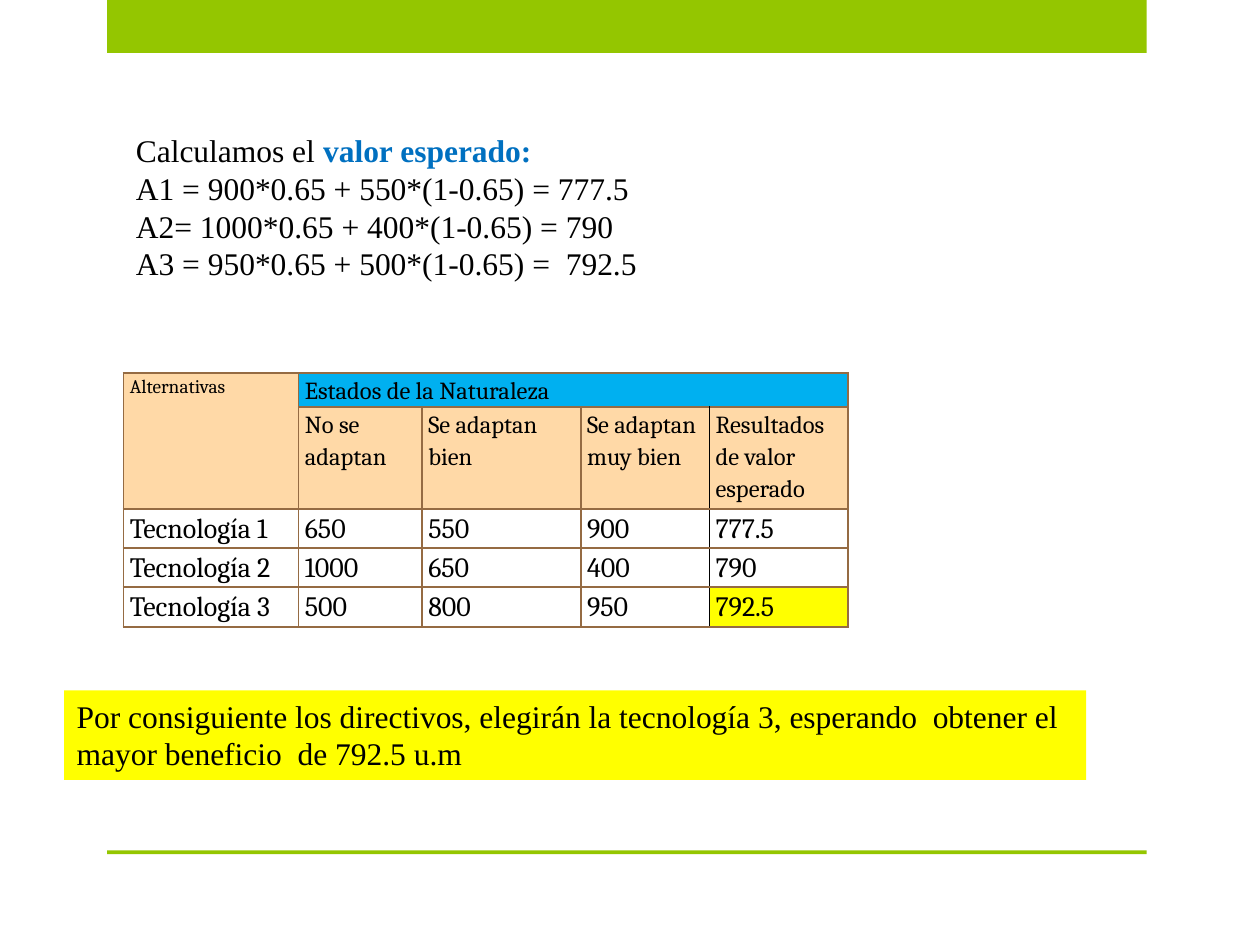
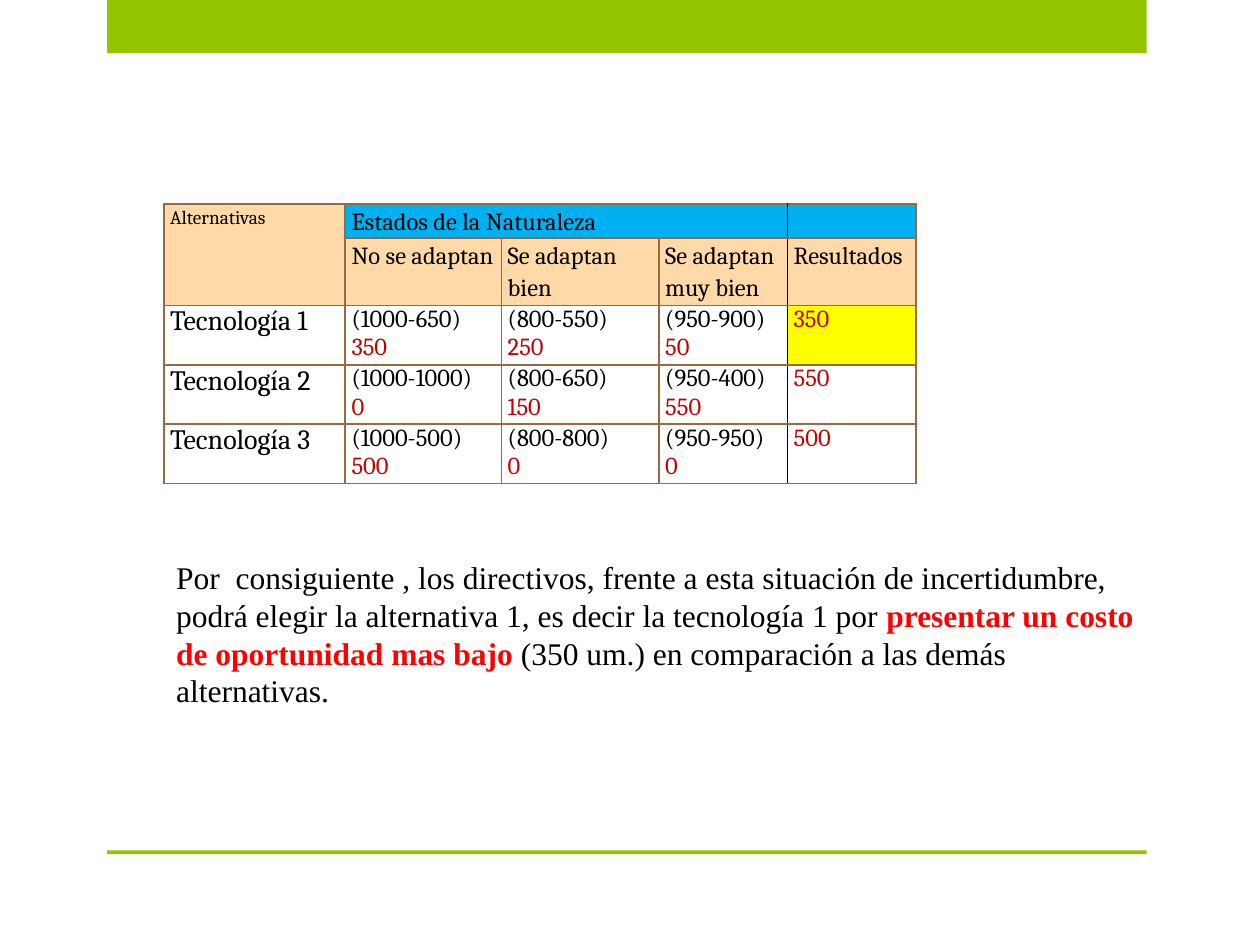
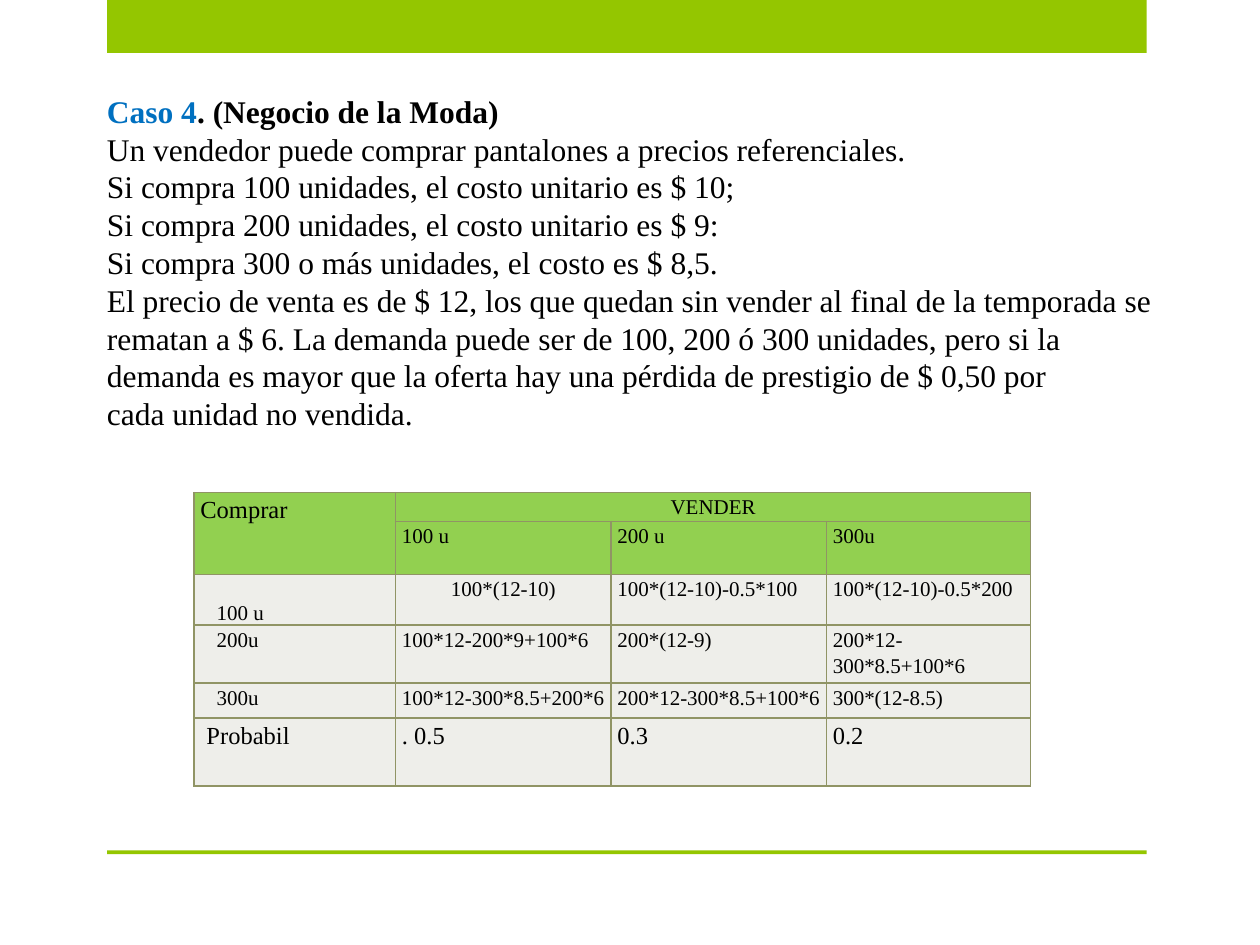
from lxml import etree
from pptx import Presentation
from pptx.dml.color import RGBColor
from pptx.enum.shapes import MSO_SHAPE
from pptx.enum.text import MSO_ANCHOR, PP_ALIGN
from pptx.oxml.ns import qn
from pptx.util import Inches, Pt

RECTANGLE = MSO_SHAPE.RECTANGLE
CENTER = PP_ALIGN.CENTER
BOTTOM = MSO_ANCHOR.BOTTOM

SERIF = "Times New Roman"
CAMBRIA = "Cambria"
BLACK, BLUE, RED, DARK_RED = "000000", "0070C0", "FF0000", "C00000"
GREEN, YELLOW = "94C600", "FFFF00"
BROWN, OLIVE = "956B43", "909465"
FILLS = {"P": "FFD9A7", "B": "00B0F0", "Y": YELLOW, "G": "92D050", "S": "EEEEEA", "-": None}
BANDS = [(0.85, 0, 8.25, 0.42), (0.85, 6.75, 8.25, 0.03)]


def regret(difference, cost):
    return [difference, [(cost, DARK_RED, False)]]


def result(cost):
    return [[(cost, DARK_RED, False)]]


EXPECTED_VALUE = [
    [("Calculamos el ", BLACK, False), ("valor esperado:", BLUE, True)],
    "A1 = 900*0.65 + 550*(1-0.65) = 777.5",
    "A2= 1000*0.65 + 400*(1-0.65) = 790",
    "A3 = 950*0.65 + 500*(1-0.65) =  792.5",
]
DECISION = ["Por consiguiente los directivos, elegirán la tecnología 3, esperando  obtener el "
            "mayor beneficio  de 792.5 u.m"]
REGRET_CONCLUSION = [[
    ("Por  consiguiente , los directivos, frente a esta situación de incertidumbre, podrá elegir "
     "la alternativa 1, es decir la tecnología 1 por ", BLACK, False),
    ("presentar un costo de oportunidad mas bajo ", RED, True),
    ("(350 um.) en comparación a las demás alternativas.", BLACK, False),
]]
FASHION_CASE = [
    [("Caso 4", BLUE, True), (". (Negocio de la Moda)", BLACK, True)],
    "Un vendedor puede comprar pantalones a precios referenciales.",
    "Si compra 100 unidades, el costo unitario es $ 10;",
    "Si compra 200 unidades, el costo unitario es $ 9:",
    "Si compra 300 o más unidades, el costo es $ 8,5.",
    "El precio de venta es de $ 12, los que quedan sin vender al final de la temporada se rematan "
    "a $ 6. La demanda puede ser de 100, 200 ó 300 unidades, pero si la demanda es mayor que la "
    "oferta hay una pérdida de prestigio de $ 0,50 por",
    "cada unidad no vendida.",
]

VALUE_TABLE = dict(
    at=(0.98, 2.96), font=CAMBRIA, border=BROWN, divider_from=1,
    columns=[1.39, 0.98, 1.26, 1.02, 1.1],
    heights=[0.26, 0.81, 0.31, 0.31, 0.32],
    merges=[(0, 0, 1, 0), (0, 1, 0, 4)],
    fills=["PBBBB", "PPPPP", "-----", "-----", "----Y"],
    sizes=[[11, 14, 14, 14, 14], [14] * 5] + [[16] * 5] * 3,
    spacing=[1.15] * 5,
    cells=[
        ["Alternativas", "Estados de la Naturaleza", "", "", ""],
        ["", "No se adaptan", "Se adaptan bien", "Se adaptan muy bien",
         "Resultados de valor esperado"],
        ["Tecnología 1", "650", "550", "900", "777.5"],
        ["Tecnología 2", "1000", "650", "400", "790"],
        ["Tecnología 3", "500", "800", "950", "792.5"],
    ])

REGRET_TABLE = dict(
    at=(1.3, 1.62), font=CAMBRIA, border=BROWN, divider_from=0,
    columns=[1.44, 1.24, 1.25, 1.02, 1.02],
    heights=[0.27, 0.53, 0.47, 0.47, 0.47],
    merges=[(0, 0, 1, 0), (0, 1, 0, 3)],
    fills=["PBBBB", "PPPPP", "----Y", "-----", "-----"],
    sizes=[[11, 14, 14, 14, 14], [14] * 5] + [[16, 14, 14, 14, 14]] * 3,
    spacing=[1.15, 1.15, 1, 1, 1],
    cells=[
        ["Alternativas", "Estados de la Naturaleza", "", "", ""],
        ["", "No se adaptan", "Se adaptan bien", "Se adaptan muy bien", "Resultados"],
        ["Tecnología 1", regret("(1000-650)", "350"), regret("(800-550)", "250"),
         regret("(950-900)", "50"), result("350")],
        ["Tecnología 2", regret("(1000-1000)", "0"), regret("(800-650)", "150"),
         regret("(950-400)", "550"), result("550")],
        ["Tecnología 3", regret("(1000-500)", "500"), regret("(800-800)", "0"),
         regret("(950-950)", "0"), result("500")],
    ])

SALES_TABLE = dict(
    at=(1.54, 3.91), font=SERIF, border=OLIVE,
    columns=[1.6, 1.71, 1.71, 1.62],
    heights=[0.23, 0.42, 0.4, 0.46, 0.28, 0.54],
    merges=[(0, 0, 1, 0), (0, 1, 0, 3)],
    fills=["GGGG"] * 2 + ["SSSS"] * 4,
    sizes=[[14, 12, 12, 12]] + [[12] * 4] * 4 + [[14] * 4],
    spacing=[1.15] * 6,
    centered=[(0, 1), (2, 1)], bottom=[(2, 0)], indented=[(2, 0), (3, 0), (4, 0)],
    cells=[
        ["Comprar", "VENDER", "", ""],
        ["", "100 u", "200 u", "300u"],
        ["100 u", "100*(12-10)", "100*(12-10)-0.5*100", "100*(12-10)-0.5*200"],
        ["200u", "100*12-200*9+100*6", "200*(12-9)", "200*12-300*8.5+100*6"],
        ["300u", "100*12-300*8.5+200*6", "200*12-300*8.5+100*6", "300*(12-8.5)"],
        [" Probabil", ". 0.5", "0.3", "0.2"],
    ])


def color(value):
    return RGBColor.from_string(value)


def write(frame, lines, font=SERIF, size=18, spacing=None, align=None):
    for index, line in enumerate(lines):
        para = frame.add_paragraph() if index else frame.paragraphs[0]
        para.line_spacing = spacing
        para.alignment = align
        for text, shade, bold in [(line, BLACK, False)] if isinstance(line, str) else line:
            span = para.add_run()
            span.text = text
            span.font.name = font
            span.font.size = Pt(size)
            span.font.bold = bold
            span.font.color.rgb = color(shade)


def add_text(page, at, lines, wrap=True, fill=None):
    box = page.shapes.add_textbox(*map(Inches, at))
    box.text_frame.word_wrap = wrap
    if fill:
        box.fill.solid()
        box.fill.fore_color.rgb = color(fill)
    write(box.text_frame, lines)


def set_borders(cell, shades):
    properties = cell._tc.get_or_add_tcPr()
    for index, (side, shade) in enumerate(shades.items()):
        line = etree.Element(qn("a:ln" + side), w=str(Pt(1)))
        fill = etree.SubElement(line, qn("a:solidFill"))
        etree.SubElement(fill, qn("a:srgbClr"), val=shade)
        properties.insert(index, line)


def fill_cell(cell, row, column, design):
    place = (row, column)
    cell.margin_left = Inches(0.18 if place in design.get("indented", []) else 0.05)
    cell.margin_right = Inches(0.05)
    cell.margin_top = cell.margin_bottom = 0
    if place in design.get("bottom", []):
        cell.vertical_anchor = BOTTOM
    content = design["cells"][row][column]
    if content:
        lines = [content] if isinstance(content, str) else content
        write(cell.text_frame, lines, design["font"], design["sizes"][row][column],
              design["spacing"][row], CENTER if place in design.get("centered", []) else None)
    else:
        etree.SubElement(cell.text_frame.paragraphs[0]._p, qn("a:endParaRPr"), sz="1100")
    fill = FILLS[design["fills"][row][column]]
    if fill:
        cell.fill.solid()
        cell.fill.fore_color.rgb = color(fill)
    else:
        cell.fill.background()
    shades = dict.fromkeys("LRTB", design["border"])
    last = len(design["columns"]) - 1
    if row >= design.get("divider_from", len(design["heights"])) and column >= last - 1:
        shades["L" if column == last else "R"] = BLACK
    set_borders(cell, shades)


def add_grid(page, design):
    columns, heights = design["columns"], design["heights"]
    size = (sum(columns), sum(heights))
    table = page.shapes.add_table(len(heights), len(columns),
                                  *map(Inches, design["at"] + size)).table
    table.first_row = table.horz_banding = False
    for column, width in zip(table.columns, columns):
        column.width = Inches(width)
    for row, height in zip(table.rows, heights):
        row.height = Inches(height)
    for top, left, bottom, right in design["merges"]:
        table.cell(top, left).merge(table.cell(bottom, right))
    for row in range(len(heights)):
        for column in range(len(columns)):
            fill_cell(table.cell(row, column), row, column, design)


def add_page(deck):
    page = deck.slides.add_slide(deck.slide_layouts[6])
    for at in BANDS:
        band = page.shapes.add_shape(RECTANGLE, *map(Inches, at))
        band.shadow.inherit = False
        band.fill.solid()
        band.fill.fore_color.rgb = color(GREEN)
        band.line.fill.background()
    return page


def main():
    deck = Presentation()
    deck.slide_width, deck.slide_height = Inches(10), Inches(7.5)

    page = add_page(deck)
    add_text(page, (0.98, 0.99, 4.22, 1.31), EXPECTED_VALUE, wrap=False)
    add_grid(page, VALUE_TABLE)
    add_text(page, (0.51, 5.48, 8.11, 0.71), DECISION, fill=YELLOW)

    page = add_page(deck)
    add_grid(page, REGRET_TABLE)
    add_text(page, (1.3, 4.38, 7.8, 1.31), REGRET_CONCLUSION)

    page = add_page(deck)
    add_text(page, (0.75, 0.68, 8.58, 2.83), FASHION_CASE)
    add_grid(page, SALES_TABLE)

    deck.save("out.pptx")


if __name__ == "__main__":
    main()
